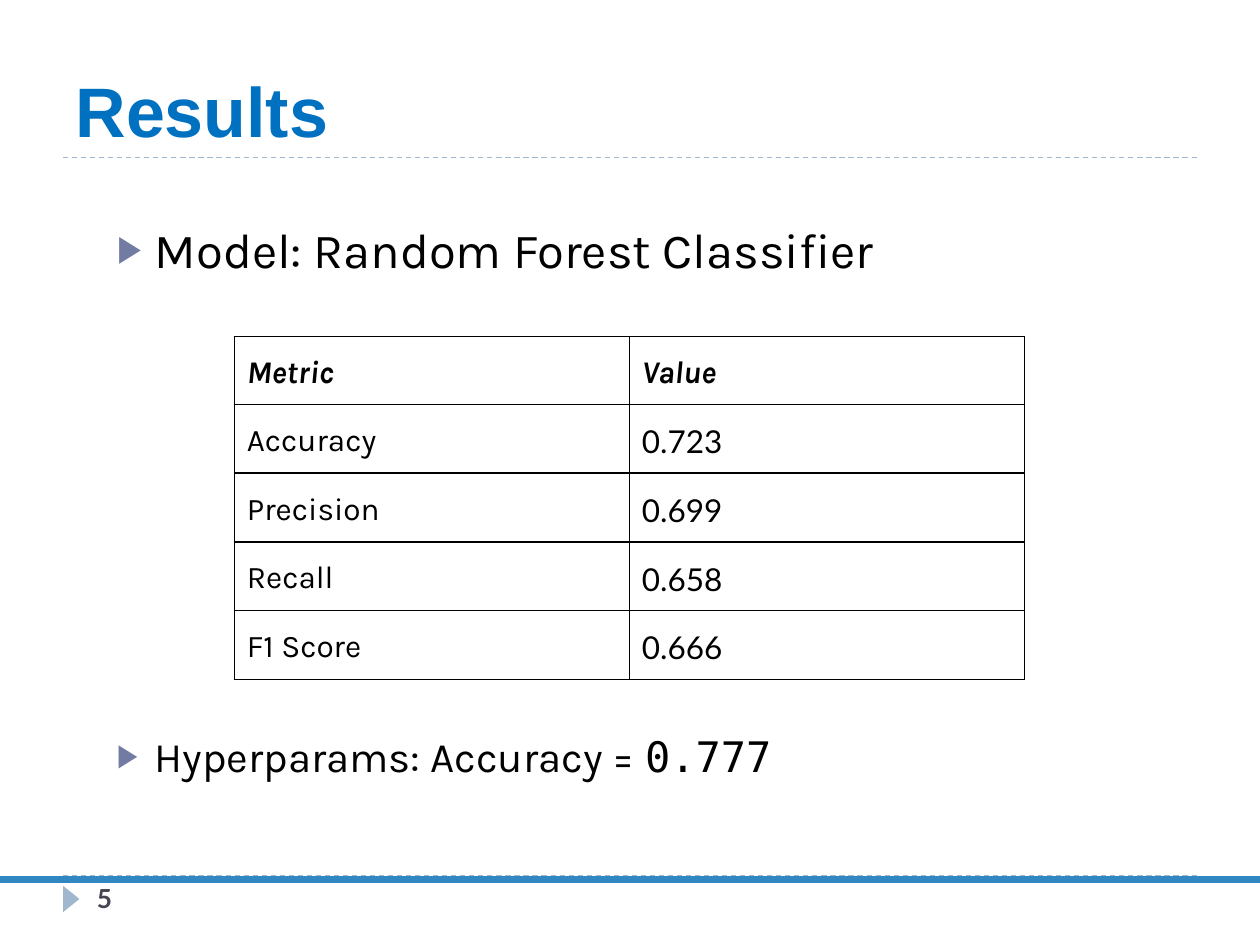
from lxml import etree
from pptx import Presentation
from pptx import util as u
from pptx.dml.color import RGBColor
from pptx.enum import dml, shapes, text
from pptx.oxml import ns

BLACK = RGBColor(0x00, 0x00, 0x00)
TITLE_BLUE = RGBColor(0x00, 0x70, 0xC0)
FOOTER_BLUE = RGBColor(0x31, 0x87, 0xC1)
PALE_BLUE = RGBColor(0x9F, 0xB8, 0xCD)
NUMBER_GRAY = RGBColor(0x46, 0x46, 0x53)
BULLET_COLOR = "727CA3"


def add_text(paragraph, words, font="Karla", size=18, color=BLACK, bold=False,
             italic=False, bullet=False):
    run = paragraph.add_run()
    run.text = words
    run.font.name = font
    run.font.size = u.Pt(size)
    run.font.color.rgb = color
    run.font.bold = bold
    run.font.italic = italic
    paragraph.alignment = text.PP_ALIGN.LEFT
    if bullet:
        paragraph.space_before = u.Pt(6)
        properties = paragraph._p.get_or_add_pPr()
        properties.set("marL", str(u.Inches(0.3)))
        properties.set("indent", str(u.Inches(-0.3)))
        bullet_color = etree.SubElement(properties, ns.qn("a:buClr"))
        etree.SubElement(bullet_color, ns.qn("a:srgbClr"), val=BULLET_COLOR)
        etree.SubElement(properties, ns.qn("a:buSzPct"), val="76000")
        etree.SubElement(properties, ns.qn("a:buFont"), typeface="Arial")
        etree.SubElement(properties, ns.qn("a:buChar"), char="▶")


def place(shape, left, top, width, height, anchor=text.MSO_ANCHOR.TOP):
    shape.left, shape.top = u.Inches(left), u.Inches(top)
    shape.width, shape.height = u.Inches(width), u.Inches(height)
    frame = shape.text_frame
    frame.word_wrap = True
    frame.auto_size = text.MSO_AUTO_SIZE.NONE
    frame.vertical_anchor = anchor
    return frame.paragraphs[0]


presentation = Presentation()
presentation.slide_width = u.Inches(10)
presentation.slide_height = u.Inches(7.5)
slide = presentation.slides.add_slide(presentation.slide_layouts[1])

for left, right, top, color, width, dash in [
    (0.5, 9.5, 6.95, PALE_BLUE, 0.75, dml.MSO_LINE.DASH),
    (0.5, 9.5, 1.25, PALE_BLUE, 0.75, dml.MSO_LINE.DASH),
    (0, 10, 6.98, FOOTER_BLUE, 4.5, dml.MSO_LINE.SOLID),
]:
    rule = slide.shapes.add_connector(
        shapes.MSO_CONNECTOR.STRAIGHT,
        u.Inches(left), u.Inches(top), u.Inches(right), u.Inches(top))
    rule.line.color.rgb = color
    rule.line.width = u.Pt(width)
    rule.line.dash_style = dash
    etree.SubElement(rule._element.spPr, ns.qn("a:effectLst"))

marker = slide.shapes.add_shape(
    shapes.MSO_SHAPE.ISOSCELES_TRIANGLE,
    u.Inches(0.46), u.Inches(7.07), u.Inches(0.21), u.Inches(0.13))
marker.rotation = 90
marker.shadow.inherit = False
marker.fill.solid()
marker.fill.fore_color.rgb = PALE_BLUE
marker.line.fill.background()

title = place(slide.shapes.title, 0.5, 0.17, 9, 1.08, text.MSO_ANCHOR.BOTTOM)
add_text(title, "Results", font="Arial", size=40, color=TITLE_BLUE, bold=True)

number_box = slide.shapes.add_textbox(0, 0, 0, 0)
number = place(number_box, 0.67, 6.95, 2.17, 0.4)
add_text(number, "5", font="Lato", size=15, color=NUMBER_GRAY, bold=True)

model = place(slide.placeholders[1], 0.83, 1.69, 9, 0.84)
add_text(model, "Model: Random Forest Classifier", size=28, bullet=True)

tuning_box = slide.shapes.add_textbox(0, 0, 0, 0)
tuning = place(tuning_box, 0.83, 5.75, 9, 0.84)
add_text(tuning, "Hyperparams: Accuracy = ", size=24, bullet=True)
add_text(tuning, "0.777", font="DejaVu Sans Mono", size=24)

metrics = [
    ("Metric", "Value"),
    ("Accuracy", "0.723"),
    ("Precision", "0.699"),
    ("Recall", "0.658"),
    ("F1 Score", "0.666"),
]
table = slide.shapes.add_table(
    len(metrics), 2, u.Inches(1.86), u.Inches(2.67),
    u.Inches(6.27), u.Inches(2.7)).table
table.horz_banding = False
for row, values in enumerate(metrics):
    for column, value in enumerate(values):
        header = row == 0
        cell = table.cell(row, column)
        cell.margin_left = cell.margin_right = u.Inches(0.1)
        cell.margin_top = cell.margin_bottom = u.Inches(0.1)
        paragraph = cell.text_frame.paragraphs[0]
        paragraph.line_spacing = 1.15
        add_text(paragraph, value, bold=header, italic=header,
                 font="Lato" if column and not header else "Karla")
        properties = cell._tc.get_or_add_tcPr()
        for side in ("lnL", "lnR", "lnT", "lnB"):
            border = etree.SubElement(properties, ns.qn("a:" + side),
                                      w=str(u.Pt(1)))
            fill = etree.SubElement(border, ns.qn("a:solidFill"))
            etree.SubElement(fill, ns.qn("a:srgbClr"), val=str(BLACK))
        cell.fill.background()

presentation.save("out.pptx")
